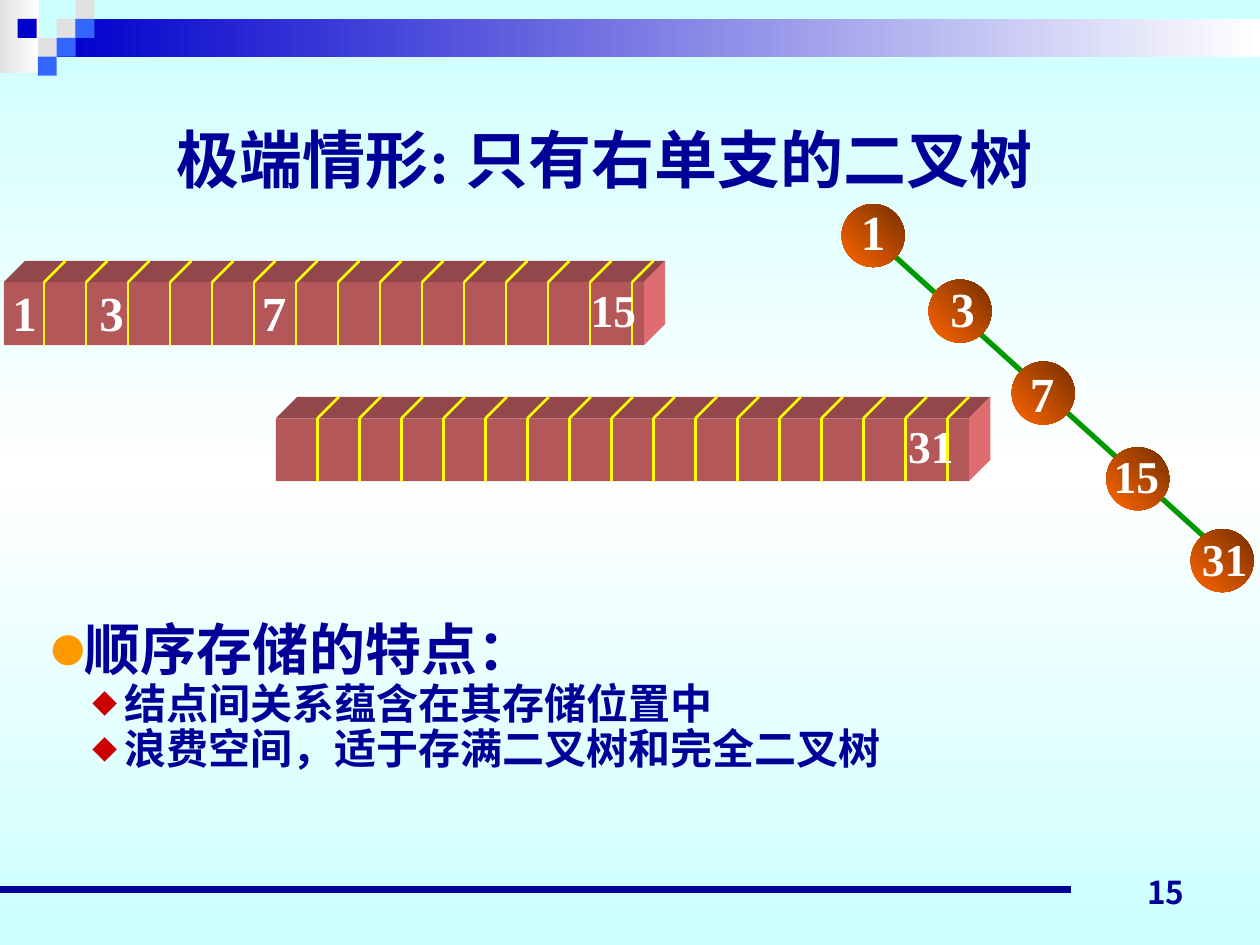
import pptx
import pptx.util
import pptx.dml.color
import pptx.enum.shapes
import pptx.enum.text
import pptx.oxml.ns
from lxml import etree

Inches, Pt = pptx.util.Inches, pptx.util.Pt
RGBColor = pptx.dml.color.RGBColor
SHAPE = pptx.enum.shapes.MSO_SHAPE
ALIGN = pptx.enum.text.PP_ALIGN
ANCHOR = pptx.enum.text.MSO_ANCHOR
qn = pptx.oxml.ns.qn

NAVY = RGBColor(0x00, 0x00, 0x99)
BLUE = RGBColor(0x00, 0x00, 0xCC)
SKY = RGBColor(0x33, 0x66, 0xFF)
GREY = RGBColor(0xE1, 0xE1, 0xE1)
WHITE = RGBColor(0xFF, 0xFF, 0xFF)
CYAN = RGBColor(0xCC, 0xFF, 0xFF)
GREEN = RGBColor(0x00, 0x99, 0x00)
YELLOW = RGBColor(0xFF, 0xFF, 0x00)
ORANGE = RGBColor(0xFF, 0x66, 0x00)
BROWN = RGBColor(0x76, 0x2F, 0x00)
AMBER = RGBColor(0xFF, 0x99, 0x00)
RED = RGBColor(0xCC, 0x00, 0x00)
BAR_FRONT = RGBColor(0xB3, 0x57, 0x59)
BAR_TOP = RGBColor(0x92, 0x48, 0x4A)
BAR_SIDE = RGBColor(0xDF, 0x6C, 0x70)

SERIF, CJK, CJK_JP = "Times New Roman", "Noto Sans CJK SC", "Noto Sans CJK JP"
TITLE = "极端情形: 只有右单支的二叉树"
PAGE_NUMBER = "15"

# left, top, colour of the corner squares
SQUARE = 0.15
CORNER_SQUARES = [
    (0.45, 0.15, GREY), (0.6, 0, GREY), (0.6, 0.15, SKY), (0.3, 0.3, GREY),
    (0.14, 0.15, BLUE), (0.45, 0.3, SKY), (0.3, 0.45, SKY),
]

# value, ellipse left and top, label left and top
NODE = 0.5
TREE_NODES = [
    ("1", 6.68, 1.62, 6.73, 1.55), ("3", 7.37, 2.22, 7.44, 2.16),
    ("7", 8.03, 2.87, 8.07, 2.83), ("15", 8.78, 3.55, 8.74, 3.51),
    ("31", 9.45, 4.2, 9.44, 4.17),
]

# left, top, width, first divider, divider count, values with their left edges
BAR_HEIGHT, BAR_DEPTH, CELL = 0.5, 0.17, 1 / 3
ARRAY_BARS = [
    (0.03, 2.24, 5.08, 0.35, 15, [("1", 0), ("3", 0.69), ("7", 1.98), ("15", 4.59)]),
    (2.19, 3.32, 5.5, 2.52, 16, [("31", 7.11)]),
]

# text, size, left margin, indent, bullet, bullet colour, font
FEATURES = [
    ("顺序存储的特点：", 32, 0, 0, "●", AMBER, "Arial"),
    ("结点间关系蕴含在其存储位置中", 24, 0.58, -0.25, "◆", RED, CJK),
    ("浪费空间，适于存满二叉树和完全二叉树", 24, 0.58, -0.25, "◆", RED, CJK),
]


def set_gradient(fill, root, colours, angle):
    """Spread the colours evenly; angle is clockwise in degrees."""
    fill.gradient()
    gradient = next(root.iter(qn("a:gradFill")))
    stops = gradient.find(qn("a:gsLst"))
    for stop in list(stops):
        stops.remove(stop)
    for index, colour in enumerate(colours):
        position = round(100000 * index / (len(colours) - 1))
        stop = etree.SubElement(stops, qn("a:gs"), pos=str(position))
        etree.SubElement(stop, qn("a:srgbClr"), val=str(colour))
    gradient.find(qn("a:lin")).set("ang", str(angle * 60000))


def finish_shape(shape, colours, angle=0):
    shape.shadow.inherit = False
    shape.line.fill.background()
    if len(colours) == 1:
        shape.fill.solid()
        shape.fill.fore_color.rgb = colours[0]
    else:
        set_gradient(shape.fill, shape._element, colours, angle)


def add_block(slide, kind, left, top, width, height, *colours, angle=0):
    shape = slide.shapes.add_shape(
        kind, Inches(left), Inches(top), Inches(width), Inches(height))
    finish_shape(shape, colours, angle)


def add_face(slide, points, colour):
    corners = [(Inches(x), Inches(y)) for x, y in points]
    builder = slide.shapes.build_freeform(*corners[0])
    builder.add_line_segments(corners[1:], close=True)
    finish_shape(builder.convert_to_shape(), [colour])


def add_line(slide, x1, y1, x2, y2, colour, width):
    line = slide.shapes.add_connector(
        pptx.enum.shapes.MSO_CONNECTOR.STRAIGHT,
        Inches(x1), Inches(y1), Inches(x2), Inches(y2))
    line.line.color.rgb = colour
    line.line.width = Pt(width)
    etree.SubElement(line._element.spPr, qn("a:effectLst"))


def style_paragraph(paragraph, text, size, colour, font, east_asian=CJK):
    run = paragraph.add_run()
    run.text = text
    paragraph.font.size = Pt(size)
    paragraph.font.bold = True
    paragraph.font.name = font
    paragraph.font.color.rgb = colour
    run_properties = run._r.get_or_add_rPr()
    etree.SubElement(run_properties, qn("a:ea"), typeface=east_asian)


def add_text_box(slide, left, top, width, height, anchor, wrap):
    frame = slide.shapes.add_textbox(
        Inches(left), Inches(top), Inches(width), Inches(height)).text_frame
    frame.word_wrap = wrap
    frame.vertical_anchor = anchor
    return frame


def add_number(slide, value, left, top, align):
    width, height, size = (0.4, 0.57, 28) if len(value) == 1 else (0.56, 0.53, 26)
    frame = add_text_box(slide, left, top, width, height, ANCHOR.MIDDLE, False)
    frame.paragraphs[0].alignment = align
    style_paragraph(frame.paragraphs[0], value, size, WHITE, SERIF)


def add_bullet(paragraph, margin, indent, character, colour):
    properties = paragraph._p.get_or_add_pPr()
    properties.set("marL", str(Inches(margin)))
    properties.set("indent", str(Inches(indent)))
    bullet_colour = etree.SubElement(properties, qn("a:buClr"))
    etree.SubElement(bullet_colour, qn("a:srgbClr"), val=str(colour))
    etree.SubElement(properties, qn("a:buSzPct"), val="60000")
    etree.SubElement(properties, qn("a:buFont"), typeface=CJK)
    etree.SubElement(properties, qn("a:buChar"), char=character)


def add_array_bar(slide, left, top, width, first, count, values):
    right, bottom = left + width, top + BAR_HEIGHT
    back, far = top - BAR_DEPTH, right + BAR_DEPTH
    add_face(slide, [(left, top), (left + BAR_DEPTH, back), (far, back), (right, top)],
             BAR_TOP)
    add_face(slide, [(right, top), (far, back), (far, bottom - BAR_DEPTH), (right, bottom)],
             BAR_SIDE)
    add_block(slide, SHAPE.RECTANGLE, left, top, width, BAR_HEIGHT, BAR_FRONT)
    for index in range(count):
        x = first + index * CELL
        add_line(slide, x, top, x, bottom, YELLOW, 1.5)
        add_line(slide, x, top, x + BAR_DEPTH, back, YELLOW, 1.5)
    for value, value_left in values:
        add_number(slide, value, value_left, top - 0.05, ALIGN.LEFT)


presentation = pptx.Presentation()
presentation.slide_width, presentation.slide_height = Inches(10), Inches(7.5)
slide = presentation.slides.add_slide(presentation.slide_layouts[6])
set_gradient(slide.background.fill, slide._element, [CYAN, WHITE, CYAN], 90)

add_block(slide, SHAPE.RECTANGLE, 0, 0, 0.31, 0.58, GREY, WHITE)
add_block(slide, SHAPE.RECTANGLE, 0.45, 0.15, 9.55, 0.3, BLUE, WHITE)
for left, top, colour in CORNER_SQUARES:
    add_block(slide, SHAPE.RECTANGLE, left, top, SQUARE, SQUARE, colour)
add_line(slide, 0, 7.06, 8.5, 7.06, NAVY, 4.5)

page = add_text_box(slide, 7.17, 6.78, 2.33, 0.5, ANCHOR.BOTTOM, True).paragraphs[0]
page.alignment = ALIGN.RIGHT
style_paragraph(page, PAGE_NUMBER, 18, NAVY, CJK_JP, CJK_JP)

add_line(slide, 7.03, 1.97, 9.7, 4.39, GREEN, 3)
for value, left, top, label_left, label_top in TREE_NODES:
    add_block(slide, SHAPE.OVAL, left, top, NODE, NODE, ORANGE, BROWN, angle=315)
    add_number(slide, value, label_left, label_top, ALIGN.CENTER)

title = add_text_box(slide, 1.29, 0.91, 7.02, 0.7, ANCHOR.MIDDLE, True).paragraphs[0]
title.alignment = ALIGN.CENTER
style_paragraph(title, TITLE, 36, NAVY, SERIF)

for bar in ARRAY_BARS:
    add_array_bar(slide, *bar)

features = add_text_box(slide, 0.31, 4.89, 8.56, 1.46, ANCHOR.TOP, True)
for index, (text, size, margin, indent, bullet, colour, font) in enumerate(FEATURES):
    paragraph = features.add_paragraph() if index else features.paragraphs[0]
    paragraph.line_spacing = 0.9
    add_bullet(paragraph, margin, indent, bullet, colour)
    style_paragraph(paragraph, text, size, NAVY, font)

presentation.save("out.pptx")
